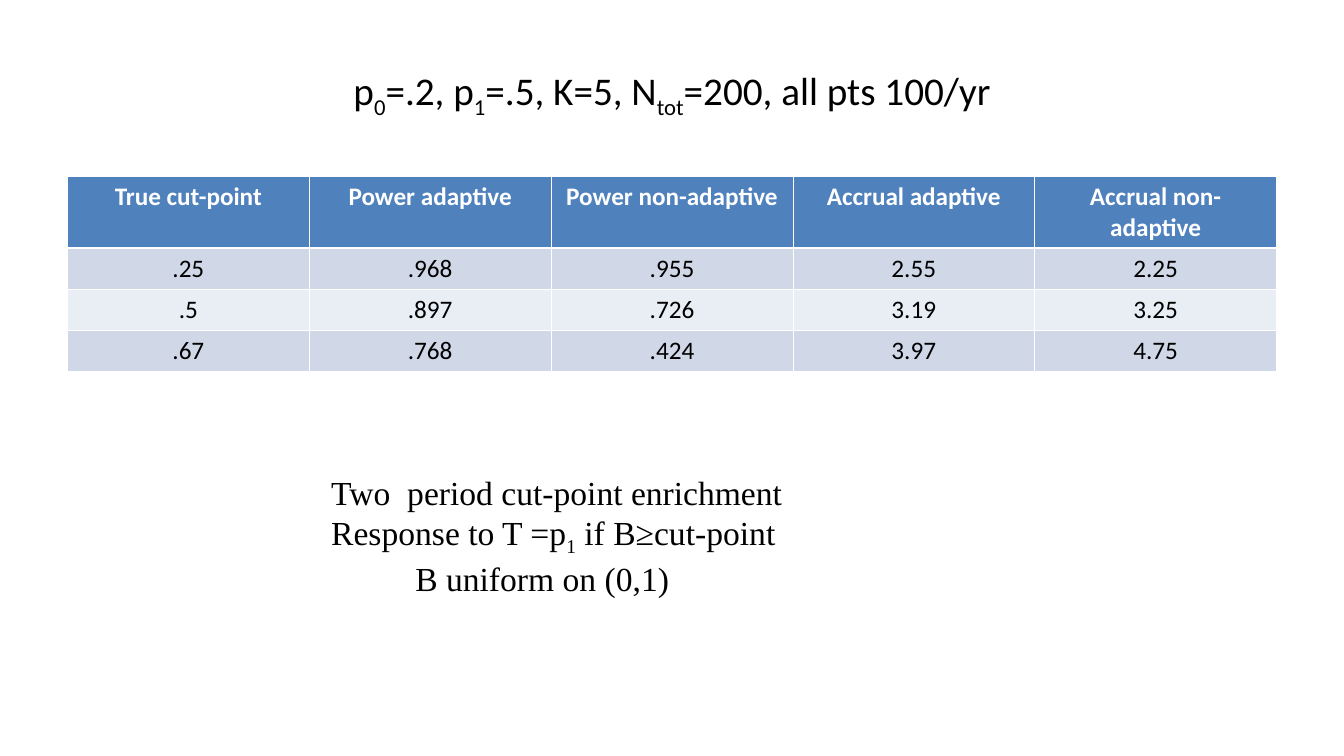
from lxml import etree
from pptx import Presentation
from pptx.dml.color import RGBColor
from pptx.enum.text import MSO_ANCHOR, MSO_AUTO_SIZE, PP_ALIGN
from pptx.oxml.ns import qn
from pptx.util import Cm, Pt

MIDDLE, TOP = MSO_ANCHOR.MIDDLE, MSO_ANCHOR.TOP
CENTER, LEFT = PP_ALIGN.CENTER, PP_ALIGN.LEFT
GROW, FIXED = MSO_AUTO_SIZE.SHAPE_TO_FIT_TEXT, MSO_AUTO_SIZE.NONE

COLORS = {"ink": "000000", "white": "FFFFFF", "head": "4F81BD",
          "odd": "D0D8E8", "even": "E9EDF4"}
TITLE = {"name": "Calibri", "size": Pt(28)}
HEAD = {"name": "Calibri", "size": Pt(18), "bold": True}
BODY = {"name": "Calibri", "size": Pt(18), "bold": False}
NOTE = {"name": "Times New Roman", "size": Pt(24)}
THIN, THICK = Pt(0.45), Pt(1.47)


class Deck:
    def __init__(self, wide, high):
        self.show = Presentation()
        self.show.slide_width, self.show.slide_height = Cm(wide), Cm(high)
        self.slide = self.show.slides.add_slide(self.show.slide_layouts[6])

    def color(self, key):
        return RGBColor.from_string(COLORS[key])

    def line(self, para, text, style, ink="ink", align=LEFT):
        """Fill a paragraph; each second part between bars is a subscript."""
        para.alignment = align
        for i, part in enumerate(text.split("|")):
            run = para.add_run()
            run.text = part
            for key, value in style.items():
                setattr(run.font, key, value)
            run.font.color.rgb = self.color(ink)
            if i % 2:
                run.font._element.set("baseline", "-25000")

    def text(self, box, lines, style, align=LEFT, anchor=TOP, size=FIXED):
        frame = self.slide.shapes.add_textbox(*map(Cm, box)).text_frame
        form = {"word_wrap": True, "vertical_anchor": anchor, "auto_size": size}
        for key, value in form.items():
            setattr(frame, key, value)
        for i, (text, indent) in enumerate(lines):
            para = frame.add_paragraph() if i else frame.paragraphs[0]
            if indent:
                para._p.get_or_add_pPr().set("marL", str(Cm(indent)))
            self.line(para, text, style, align=align)

    def border(self, cell, side, width):
        props = cell._tc.get_or_add_tcPr()
        edge = etree.SubElement(props, qn(f"a:ln{side}"), w=str(int(width)))
        fill = etree.SubElement(edge, qn("a:solidFill"))
        etree.SubElement(fill, qn("a:srgbClr"), val=COLORS["white"])

    def table(self, box, rows, heights):
        grid = self.slide.shapes.add_table(
            len(rows), len(rows[0]), *map(Cm, box)).table
        for r, row in enumerate(rows):
            grid.rows[r].height = Cm(heights[r])
            style, ink = (BODY, "ink") if r else (HEAD, "white")
            fill = ("odd" if r % 2 else "even") if r else "head"
            edges = {"L": THIN, "R": THIN, "T": THICK if r == 1 else THIN,
                     "B": THIN if r else THICK}
            for c, text in enumerate(row):
                cell = grid.cell(r, c)
                cell.margin_left = cell.margin_right = Cm(0.33)
                for side, width in edges.items():
                    self.border(cell, side, width)
                cell.fill.solid()
                cell.fill.fore_color.rgb = self.color(fill)
                self.line(cell.text_frame.paragraphs[0], text, style, ink, CENTER)


deck = Deck(33.88, 19.05)

# Title
deck.text((1.7, 0.76, 30.48, 3.18),
          [("p|0|=.2, p|1|=.5, K=5, N|tot|=200, all pts 100/yr", 0)],
          TITLE, CENTER, MIDDLE)

# Power and accrual table
rows = [
    ("True cut-point", "Power adaptive", "Power non-adaptive",
     "Accrual adaptive", "Accrual non-adaptive"),
    (".25", ".968", ".955", "2.55", "2.25"),
    (".5", ".897", ".726", "3.19", "3.25"),
    (".67", ".768", ".424", "3.97", "4.75"),
]
deck.table((1.7, 4.45, 30.48, 4.88), rows, [1.79] + [1.03] * 3)

# Design notes
deck.text((8.1, 11.76, 15.8, 3.45),
          [("Two  period cut-point enrichment", 0),
           ("Response to T =p|1| if B≥cut-point", 0),
           ("B uniform on (0,1)", 2.12)],
          NOTE, size=GROW)

deck.show.save("out.pptx")
